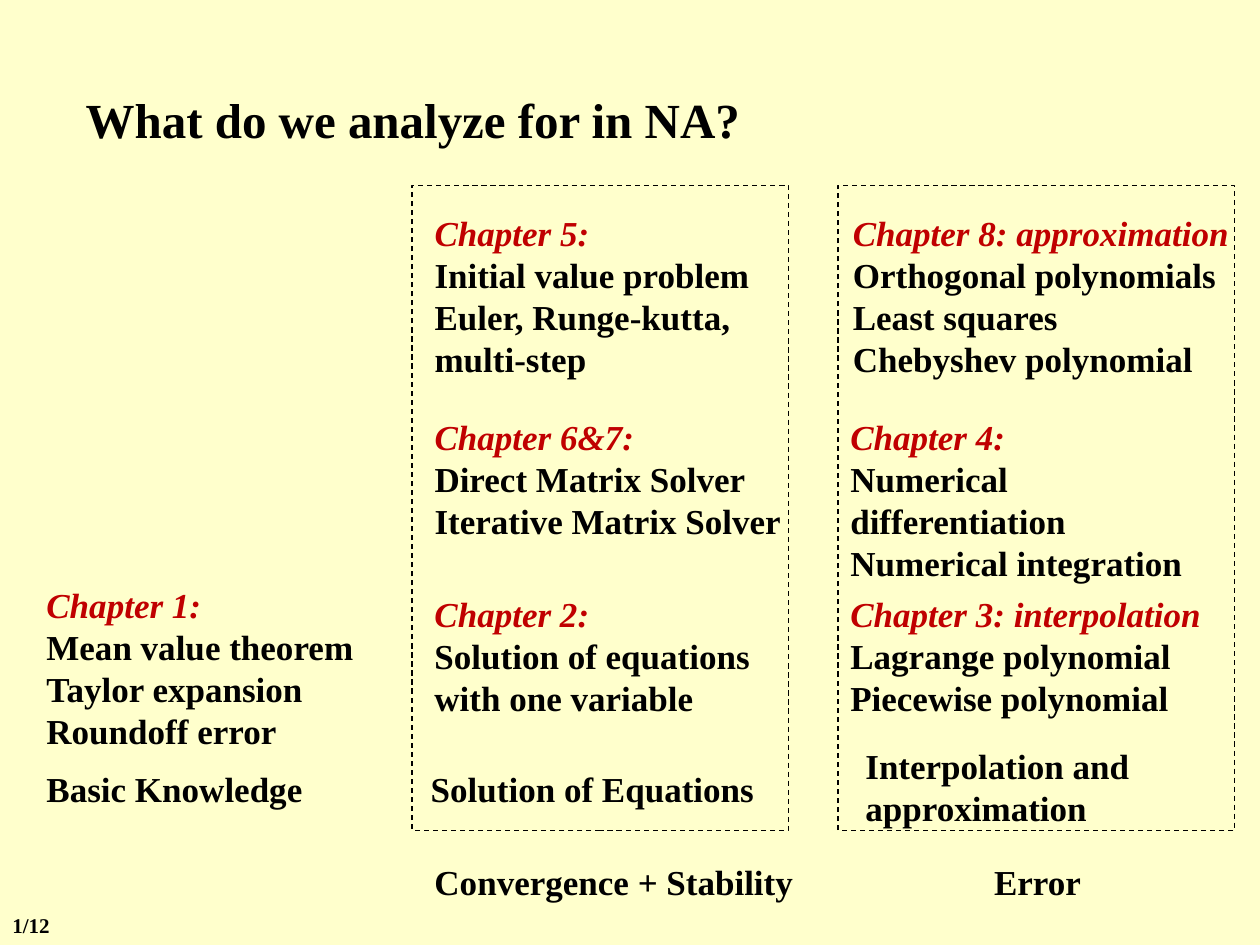
from dataclasses import dataclass

from pptx import Presentation
from pptx.dml.color import RGBColor
from pptx.enum.dml import MSO_LINE_DASH_STYLE as Dash
from pptx.enum.shapes import MSO_SHAPE as Shape
from pptx.enum.text import MSO_ANCHOR as Anchor, PP_ALIGN as Align
from pptx.util import Inches, Pt


@dataclass(frozen=True)
class Theme:
    font: str = "Times New Roman"
    background: RGBColor = RGBColor(0xFF, 0xFF, 0xCC)
    ink: RGBColor = RGBColor(0, 0, 0)
    chapter: RGBColor = RGBColor(0xC0, 0, 0)
    title_size: int = 28
    body_size: int = 20
    page_size: int = 12


THEME = Theme()

TITLE = "What do we analyze for in NA?"
PAGE = "1/12"

LEFT_X, MIDDLE_X, RIGHT_X = 0.27, 3.35, 6.65
ROW_TOPS = TOP, MIDDLE, BOTTOM = 1.63, 3.25, 4.65

CHAPTERS = [
    (LEFT_X, 4.58, 2.76, "Chapter 1:",
     ["Mean value theorem", "Taylor expansion", "Roundoff error"]),
    (MIDDLE_X, TOP, 2.99, "Chapter 5:",
     ["Initial value problem", "Euler, Runge-kutta, multi-step"]),
    (MIDDLE_X, MIDDLE, 2.99, "Chapter 6&7:",
     ["Direct Matrix Solver", "Iterative Matrix Solver"]),
    (MIDDLE_X, BOTTOM, 2.76, "Chapter 2:",
     ["Solution of equations with one variable"]),
    (RIGHT_X + 0.02, TOP, 3.25, "Chapter 8: approximation",
     ["Orthogonal polynomials", "Least squares", "Chebyshev polynomial"]),
    (RIGHT_X, MIDDLE, 3.18, "Chapter 4:",
     ["Numerical differentiation", "Numerical integration"]),
    (RIGHT_X, BOTTOM, 3.15, "Chapter 3: interpolation",
     ["Lagrange polynomial", "Piecewise polynomial"]),
]

LABELS = [
    (LEFT_X, 6.04, 2.28, "Basic Knowledge", Align.LEFT),
    (3.32, 6.04, 2.84, "Solution of Equations", Align.LEFT),
    (6.77, 5.86, 2.84, "Interpolation and approximation", Align.LEFT),
    (MIDDLE_X, 6.78, 3.23, "Convergence + Stability", Align.LEFT),
    (6.62, 6.78, 3.23, "Error", Align.CENTER),
]

FRAME_TOP, FRAME_HEIGHT = 1.47, 5.12
FRAMES = [(3.27, 2.99), (RIGHT_X, 3.15)]
LINE_HEIGHT, PADDING = 0.33, 0.1


def style(p, size, color=THEME.ink, italic=False, align=Align.LEFT):
    p.alignment = align
    p.font.name = THEME.font
    p.font.size = Pt(size)
    p.font.bold = True
    p.font.italic = italic
    p.font.color.rgb = color


def add_text(slide, x, y, width, lines, size=THEME.body_size,
             heading=False, align=Align.LEFT):
    height = len(lines) * LINE_HEIGHT * size / THEME.body_size + PADDING
    tf = slide.shapes.add_textbox(
        Inches(x), Inches(y), Inches(width), Inches(height)).text_frame
    tf.word_wrap = True
    for i, line in enumerate(lines):
        p = tf.add_paragraph() if i else tf.paragraphs[0]
        p.text = line
        is_chapter = heading and i == 0
        style(p, size, THEME.chapter if is_chapter else THEME.ink,
              is_chapter, align)


def add_title(slide):
    title = slide.shapes.title
    title.left, title.top = Inches(0.58), Inches(0.44)
    title.width, title.height = Inches(8.5), Inches(1)
    tf = title.text_frame
    tf.text = TITLE
    tf.vertical_anchor = Anchor.MIDDLE
    style(tf.paragraphs[0], THEME.title_size)


def add_frame(slide, x, width):
    sp = slide.shapes.add_shape(
        Shape.RECTANGLE, Inches(x), Inches(FRAME_TOP),
        Inches(width), Inches(FRAME_HEIGHT))
    sp.shadow.inherit = False
    sp.fill.background()
    sp.line.color.rgb = THEME.ink
    sp.line.width = Pt(0.75)
    sp.line.dash_style = Dash.DASH


def main():
    prs = Presentation()
    prs.slide_width, prs.slide_height = Inches(10), Inches(7.5)
    slide = prs.slides.add_slide(prs.slide_layouts[5])
    slide.background.fill.solid()
    slide.background.fill.fore_color.rgb = THEME.background

    add_title(slide)
    for x, width in FRAMES:
        add_frame(slide, x, width)
    for x, y, width, chapter, topics in CHAPTERS:
        add_text(slide, x, y, width, [chapter, *topics], heading=True)
    for x, y, width, label, align in LABELS:
        add_text(slide, x, y, width, [label], align=align)
    add_text(slide, 0, 7.19, 0.58, [PAGE], THEME.page_size)
    prs.save("out.pptx")


if __name__ == "__main__":
    main()
